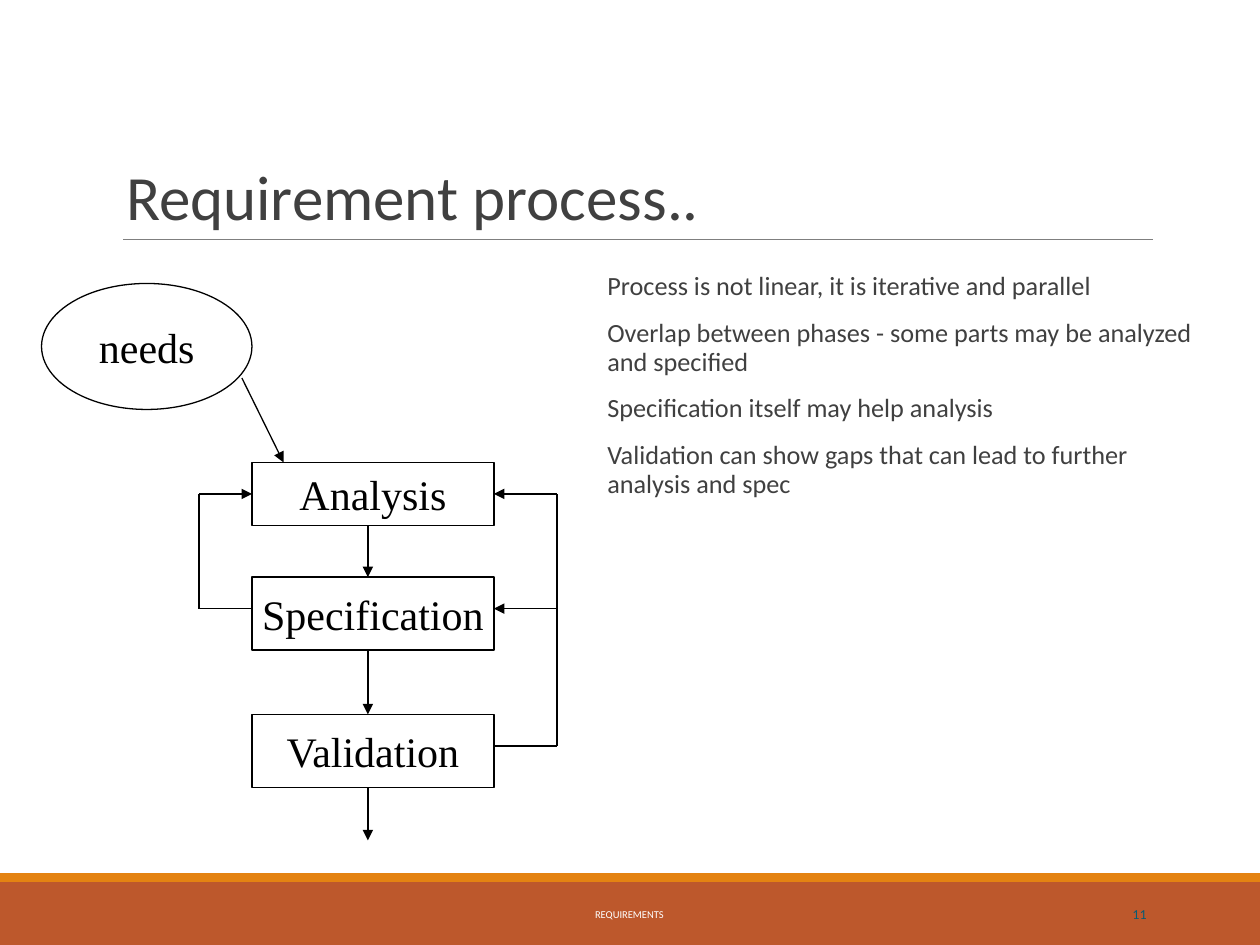
"""Build the requirement process slide."""
from dataclasses import dataclass
from itertools import pairwise

from lxml import etree
from pptx import Presentation
from pptx.dml.color import RGBColor
from pptx.enum.shapes import MSO_CONNECTOR, MSO_SHAPE
from pptx.enum.text import MSO_ANCHOR, MSO_AUTO_SIZE, PP_ALIGN
from pptx.oxml.ns import qn
from pptx.util import Inches, Pt

STRAIGHT = MSO_CONNECTOR.STRAIGHT
RECTANGLE, OVAL = MSO_SHAPE.RECTANGLE, MSO_SHAPE.OVAL
TOP, MIDDLE, BOTTOM = MSO_ANCHOR.TOP, MSO_ANCHOR.MIDDLE, MSO_ANCHOR.BOTTOM
LEFT, CENTER, RIGHT = PP_ALIGN.LEFT, PP_ALIGN.CENTER, PP_ALIGN.RIGHT
NO_AUTOFIT = MSO_AUTO_SIZE.NONE
LEFT_SIDE, RIGHT_SIDE = 1, 3
TITLE_ONLY = 5


@dataclass(frozen=True)
class Theme:
    """Colours and type styles of the slide."""
    ink = RGBColor(0x00, 0x00, 0x00)
    paper = RGBColor(0xFF, 0xFF, 0xFF)
    text = RGBColor(0x40, 0x40, 0x40)
    rule = RGBColor(0x7F, 0x7F, 0x7F)
    band = RGBColor(0xBD, 0x58, 0x2C)
    stripe = RGBColor(0xE4, 0x83, 0x12)
    number = RGBColor(0x04, 0x5C, 0x75)
    title_font = {"name": "Calibri", "size": Pt(36)}
    body_font = {"name": "Calibri", "size": Pt(15)}
    footer_font = {"name": "Calibri", "size": Pt(6)}
    number_font = {"name": "Lato", "size": Pt(7)}
    stage_font = {"name": "Times New Roman", "size": Pt(24)}


@dataclass(frozen=True)
class Box:
    """A region in inches."""
    left: float
    top: float
    width: float
    height: float

    def inner(self, left, top, width, height):
        """Return a box placed relative to this one."""
        return Box(self.left + left, self.top + top, width, height)

    def lengths(self):
        """Return left, top, width and height as lengths."""
        return [Inches(v) for v in (self.left, self.top, self.width, self.height)]


THEME = Theme()


def set_text(frame, lines, font, color, align=LEFT, frame_format=None, spacing=None):
    """Fill a text frame with equally formatted paragraphs."""
    for name, value in (frame_format or {}).items():
        setattr(frame, name, value)
    for index, line in enumerate(lines):
        paragraph = frame.paragraphs[0] if index == 0 else frame.add_paragraph()
        paragraph.text = line
        paragraph.alignment = align
        for name, value in (spacing or {}).items():
            if index or name != "space_before":
                setattr(paragraph, name, value)
        for name, value in font.items():
            setattr(paragraph.font, name, value)
        paragraph.font.color.rgb = color


def add_block(slide, preset, box, fill, outline=None):
    """Add a flat filled shape, outlined on request."""
    block = slide.shapes.add_shape(preset, *box.lengths())
    block.shadow.inherit = False
    block.fill.solid()
    block.fill.fore_color.rgb = fill
    if outline is None:
        block.line.fill.background()
    else:
        block.line.color.rgb = outline
        block.line.width = Pt(0.75)
    return block


def add_line(slide, start, end, color=THEME.ink, width=0.75, arrow=False):
    """Add a straight line between two points in inches."""
    line = slide.shapes.add_connector(STRAIGHT, *[Inches(v) for v in (*start, *end)])
    line.line.color.rgb = color
    line.line.width = Pt(width)
    properties = line._element.spPr
    if arrow:
        etree.SubElement(properties.find(qn("a:ln")), qn("a:tailEnd"), type="triangle")
    etree.SubElement(properties, qn("a:effectLst"))
    return line


def add_title(slide, box):
    """Place the title and the rule under it."""
    title = slide.shapes.title
    for name, value in zip(("left", "top", "width", "height"), box.lengths()):
        setattr(title, name, value)
    frame_format = {"vertical_anchor": BOTTOM, "auto_size": NO_AUTOFIT, "word_wrap": True}
    set_text(title.text_frame, ["Requirement process.."], THEME.title_font,
             THEME.text, LEFT, frame_format, {"line_spacing": 0.85})
    bottom = box.top + box.height
    add_line(slide, (box.left + 0.08, bottom), (box.left + box.width, bottom),
             THEME.rule, 0.5)


def add_points(slide, box):
    """Place the statements about the process."""
    points = slide.shapes.add_textbox(*box.lengths())
    frame_format = {"word_wrap": True, "vertical_anchor": TOP,
                    "margin_left": Inches(0.07), "margin_right": 0}
    spacing = {"line_spacing": 0.9, "space_before": Pt(9), "space_after": Pt(1.5)}
    set_text(points.text_frame, [
        "Process is not linear, it is iterative and parallel",
        "Overlap between phases - some parts may be analyzed and specified",
        "Specification itself may help analysis",
        "Validation can show gaps that can lead to further analysis and spec",
    ], THEME.body_font, THEME.text, LEFT, frame_format, spacing)


def add_footer(slide, box):
    """Place the coloured band with the footer and slide number."""
    stripe_height = 0.07
    add_block(slide, RECTANGLE, box.inner(0, stripe_height, box.width,
                                          box.height - stripe_height), THEME.band)
    add_block(slide, RECTANGLE, box.inner(0, 0, box.width, stripe_height), THEME.stripe)
    labels = [
        ("REQUIREMENTS", 3.02, 3.95, THEME.footer_font, THEME.paper, CENTER),
        ("11", 8.12, 1.08, THEME.number_font, THEME.number, RIGHT),
    ]
    for wording, left, width, font, color, align in labels:
        label = slide.shapes.add_textbox(*box.inner(left, 0.13, width, 0.4).lengths())
        set_text(label.text_frame, [wording], font, color, align,
                 {"word_wrap": True, "vertical_anchor": MIDDLE})


def add_node(slide, preset, box, wording):
    """Add a labelled node of the process."""
    node = add_block(slide, preset, box, THEME.paper, THEME.ink)
    set_text(node.text_frame, [wording], THEME.stage_font, THEME.ink, CENTER,
             {"word_wrap": False, "vertical_anchor": MIDDLE})
    return node


def add_process(slide, box):
    """Draw the stages, the flow down and the feedback loops."""
    add_node(slide, OVAL, box.inner(0, 0, 1.67, 1), "needs")
    stage_boxes = {
        wording: box.inner(1.67, top, 1.92, height)
        for wording, top, height in (("Analysis", 1.42, 0.5),
                                     ("Specification", 2.33, 0.58),
                                     ("Validation", 3.42, 0.58))
    }
    stages = {wording: add_node(slide, RECTANGLE, place, wording)
              for wording, place in stage_boxes.items()}

    flow_x = box.left + 2.59
    ends = [place.top for place in stage_boxes.values()] + [box.top + box.height]
    for place, end in zip(stage_boxes.values(), ends[1:]):
        add_line(slide, (flow_x, place.top + place.height), (flow_x, end), arrow=True)
    add_line(slide, (box.left + 1.59, box.top + 0.75), (box.left + 1.92, ends[0]),
             arrow=True)

    analysis_y, specification_y, validation_y = (top + 0.25 for top in ends[:3])
    near_x = box.left + 1.67
    far_x = near_x + 1.92
    right_x = box.left + box.width
    loops = [
        (near_x, near_x - 0.42, specification_y, LEFT_SIDE),
        (far_x, right_x, validation_y, RIGHT_SIDE),
    ]
    for side_x, lane_x, start_y, side in loops:
        corners = [(side_x, start_y), (lane_x, start_y), (lane_x, analysis_y)]
        for start, end in pairwise(corners):
            add_line(slide, start, end)
        feedback = add_line(slide, corners[-1], (side_x, analysis_y), arrow=True)
        feedback.end_connect(stages["Analysis"], side)
    add_line(slide, (right_x, specification_y), (far_x, specification_y), arrow=True)


def main():
    """Build and save the slide."""
    deck = Presentation()
    deck.slide_width, deck.slide_height = Inches(10), Inches(7.5)
    slide = deck.slides.add_slide(deck.slide_layouts[TITLE_ONLY])
    add_footer(slide, Box(0, 6.93, 10, 0.57))
    add_title(slide, Box(0.9, 0.31, 8.25, 1.59))
    add_points(slide, Box(4.75, 2.12, 4.75, 4.8))
    add_process(slide, Box(0.33, 2.25, 4.09, 4.42))
    deck.save("out.pptx")


if __name__ == "__main__":
    main()
